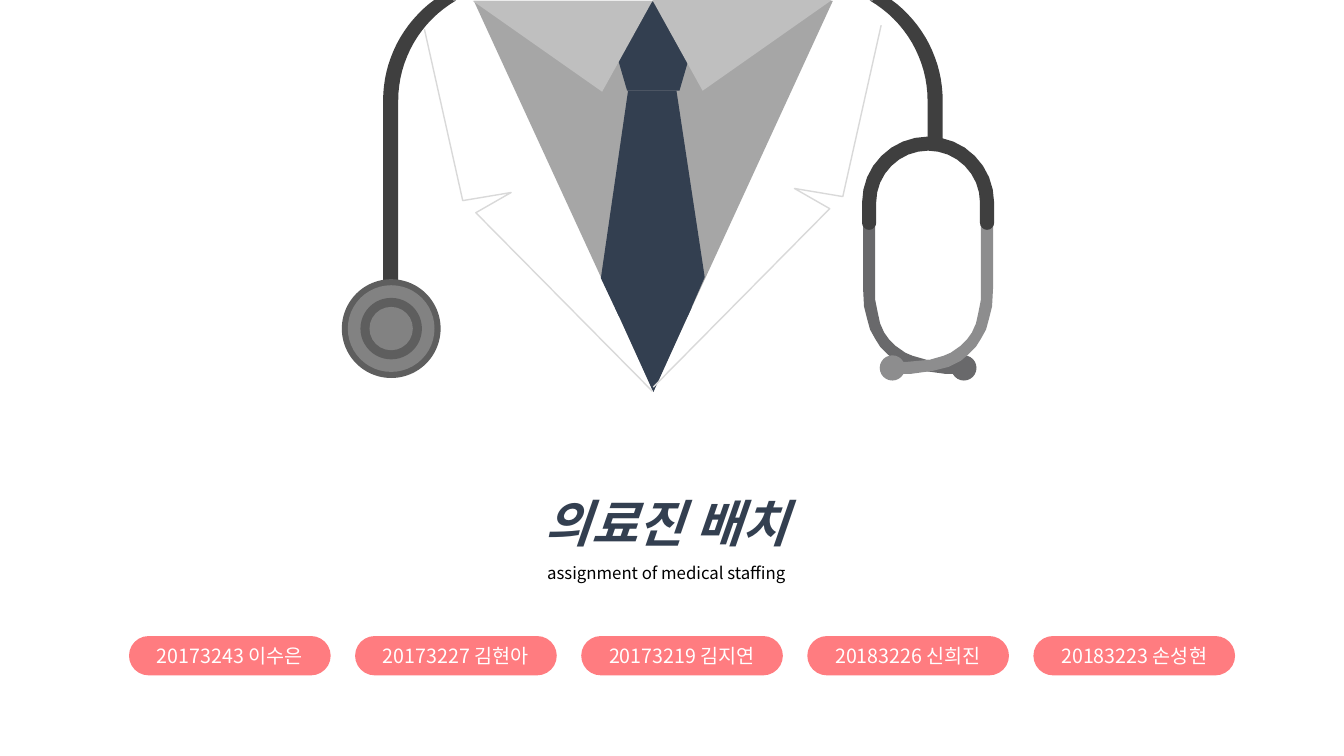
import math

import pptx
import pptx.dml.color
import pptx.enum.shapes
import pptx.enum.text
import pptx.oxml.ns
import pptx.util
from lxml import etree

Inches = pptx.util.Inches
Pt = pptx.util.Pt
SHAPE = pptx.enum.shapes.MSO_SHAPE
ANCHOR = pptx.enum.text.MSO_ANCHOR
CENTER = pptx.enum.text.PP_ALIGN.CENTER

FONT = "Noto Sans CJK KR"
UNITS = 1000  # freeform units per inch
COLORS = {
    "navy": "333F50", "shirt": "A6A6A6", "collar": "BFBFBF", "lapel": "D9D9D9",
    "tube": "3F3F3F", "rim": "5E5E5E", "disc": "828282",
    "back_leg": "69696B", "front_leg": "8D8D8E",
    "pill": "FF7C80", "white": "FFFFFF", "black": "000000",
}
MEMBERS = ["20173243 이수은", "20173227 김현아", "20173219 김지연",
           "20183226 신희진", "20183223 손성현"]


def rgb(name):
    return pptx.dml.color.RGBColor.from_string(COLORS[name])


def paint(shape, color):
    shape.shadow.inherit = False
    shape.fill.solid()
    shape.fill.fore_color.rgb = rgb(color)
    shape.line.fill.background()
    return shape


def add_preset(shapes, kind, box, color):
    return paint(shapes.add_shape(kind, *map(Inches, box)), color)


def add_outline(shapes, origin, points, closed=True):
    """Freeform through points given in inches from the origin."""
    scaled = [(x * UNITS, y * UNITS) for x, y in points]
    builder = shapes.build_freeform(*scaled[0], scale=Inches(1) / UNITS)
    builder.add_line_segments(scaled[1:], close=closed)
    return builder.convert_to_shape(*map(Inches, origin))


def add_triangle_down(shapes, box, color, apex=0.5):
    triangle = add_preset(shapes, SHAPE.ISOSCELES_TRIANGLE, box, color)
    triangle.adjustments[0] = 1 - apex
    triangle.rotation = 180


def add_disc(shapes, center, diameter, color):
    x, y = center
    box = (x - diameter / 2, y - diameter / 2, diameter, diameter)
    add_preset(shapes, SHAPE.OVAL, box, color)


def arc(center, radius, start, end, steps=16):
    """Points on a circle; degrees run clockwise from the right."""
    angles = [math.radians(start + (end - start) * i / steps) for i in range(steps + 1)]
    return [(center[0] + radius * math.cos(a), center[1] + radius * math.sin(a))
            for a in angles]


def mirror(points, width):
    return [(width - x, y) for x, y in points]


def add_stethoscope(shapes, left, top):
    origin = (left, top)
    tube_width = 5.89
    bend = 1

    def tube(length):
        outer = arc((1.65, bend), 1.24, 234, 180)
        inner = arc((1.71, bend), 1.15, 180, 240)
        return outer + [(0.41, length), (0.56, length)] + inner

    paint(add_outline(shapes, origin, tube(3.51)), "tube")
    right_tube = mirror(tube(1.47), 0.41 * 2 + tube_width - 0.41 + 0.07)
    right_tube = mirror(tube(1.47), 0.41 + tube_width) if not right_tube else right_tube
    paint(add_outline(shapes, origin, right_tube), "tube")

    for diameter, color in ((0.98, "rim"), (0.86, "disc"), (0.61, "rim"), (0.43, "disc")):
        add_disc(shapes, (left + 0.49, top + 3.26), diameter, color)

    add_earpieces(shapes, left + 5.16, top + 1.35)


def add_earpieces(shapes, left, top):
    width = 1.31
    back_leg = [(0.97, 2.36), (0.83, 2.36), (0.61, 2.33), (0.45, 2.29), (0.33, 2.23),
                (0.26, 2.17), (0.18, 2.09), (0.13, 2.01), (0.08, 1.92), (0.05, 1.81),
                (0.02, 1.69), (0.01, 1.5), (0.01, 0.86), (0.13, 0.86), (0.13, 1.62),
                (0.16, 1.77), (0.18, 1.86), (0.22, 1.95), (0.27, 2.02), (0.33, 2.08),
                (0.43, 2.15), (0.5, 2.18), (0.64, 2.22), (0.86, 2.24), (1.01, 2.24),
                (1.01, 2.36)]
    legs = ((back_leg, 1.01, "back_leg"), (mirror(back_leg, width), 0.3, "front_leg"))
    for points, tip, color in legs:
        paint(add_outline(shapes, (left, top), points), color)
        add_disc(shapes, (left + tip, top + 2.3), 0.25, color)

    middle, bend, tip_y = width / 2, 0.66, 0.86
    bow = (arc((middle, bend), middle, 180, 360)
           + arc((width - 0.07, tip_y), 0.07, 0, 180, 8)
           + arc((middle, bend), middle - 0.14, 360, 180)
           + arc((0.07, tip_y), 0.07, 0, 180, 8))
    paint(add_outline(shapes, (left, top), bow), "tube")


def add_coat(shapes, left, top):
    """Shirt, tie, collar and lapels."""
    add_triangle_down(shapes, (left + 0.49, top + 0.01, 3.56, 3.87), "shirt")
    add_preset(shapes, SHAPE.REGULAR_PENTAGON,
               (left + 1.85, top + 0.01, 0.84, 0.89), "navy")
    tie = [(2.02, 0.9), (2.5, 0.9), (2.78, 2.75), (2.61, 3.14), (1.93, 3.14), (1.75, 2.76)]
    paint(add_outline(shapes, (left, top), tie), "navy")
    add_triangle_down(shapes, (left + 0.48, top + 0.01, 1.78, 0.9), "collar", 0.72)
    add_triangle_down(shapes, (left + 2.26, top, 1.78, 0.9), "collar", 0.28)
    add_triangle_down(shapes, (left + 1.89, top + 3.05, 0.76, 0.84), "navy")

    lapel = [(0, 0.29), (0.38, 1.99), (0.86, 1.91), (0.51, 2.11), (2.26, 3.88)]
    for points, lift in ((lapel, 0), (mirror(lapel, 4.53), 0.04)):
        edge = add_outline(shapes, (left, top - lift), points, closed=False)
        edge.shadow.inherit = False
        edge.fill.background()
        edge.line.color.rgb = rgb("lapel")
        edge.line.width = Pt(1)


def add_text(para, text, size, color, bold=False, italic=False):
    para.alignment = CENTER
    span = para.add_run()
    span.text = text
    font = span.font
    font.name, font.size, font.bold, font.italic = FONT, Pt(size), bold, italic
    font.color.rgb = rgb(color)
    east_asian = etree.SubElement(font._element, pptx.oxml.ns.qn("a:ea"))
    east_asian.set("typeface", FONT)


def add_heading(page, left, top, width, height):
    title = page.shapes.title
    title.left, title.top, title.width, title.height = map(
        Inches, (left, top, width, height))
    frame = title.text_frame
    frame.word_wrap = True
    frame.auto_size = pptx.enum.text.MSO_AUTO_SIZE.SHAPE_TO_FIT_TEXT
    frame.vertical_anchor = ANCHOR.TOP
    add_text(frame.paragraphs[0], "의료진 배치", 36, "navy", bold=True, italic=True)
    add_text(frame.add_paragraph(), "assignment of medical staffing", 12, "black")
    for para in frame.paragraphs:
        para.line_spacing = 1.5


def add_members(page, left, top, width, height):
    pill_width = 2
    pitch = (width - pill_width) / (len(MEMBERS) - 1)
    for index, member in enumerate(MEMBERS):
        box = (left + index * pitch, top, pill_width, height)
        pill = add_preset(page.shapes, SHAPE.ROUNDED_RECTANGLE, box, "pill")
        pill.adjustments[0] = 0.5
        pill.text_frame.vertical_anchor = ANCHOR.MIDDLE
        add_text(pill.text_frame.paragraphs[0], member, 14, "white")


def main():
    deck = pptx.Presentation()
    deck.slide_width, deck.slide_height = Inches(13.33), Inches(7.5)
    page = deck.slides.add_slide(deck.slide_layouts[5])
    drawing = page.shapes.add_group_shape().shapes
    add_stethoscope(drawing, 3.39, 0)
    add_coat(drawing, 4.21, 0)
    add_heading(page, 3.26, 4.53, 6.7, 1.31)
    add_members(page, 1.28, 6.31, 10.97, 0.39)
    deck.save("out.pptx")


if __name__ == "__main__":
    main()
